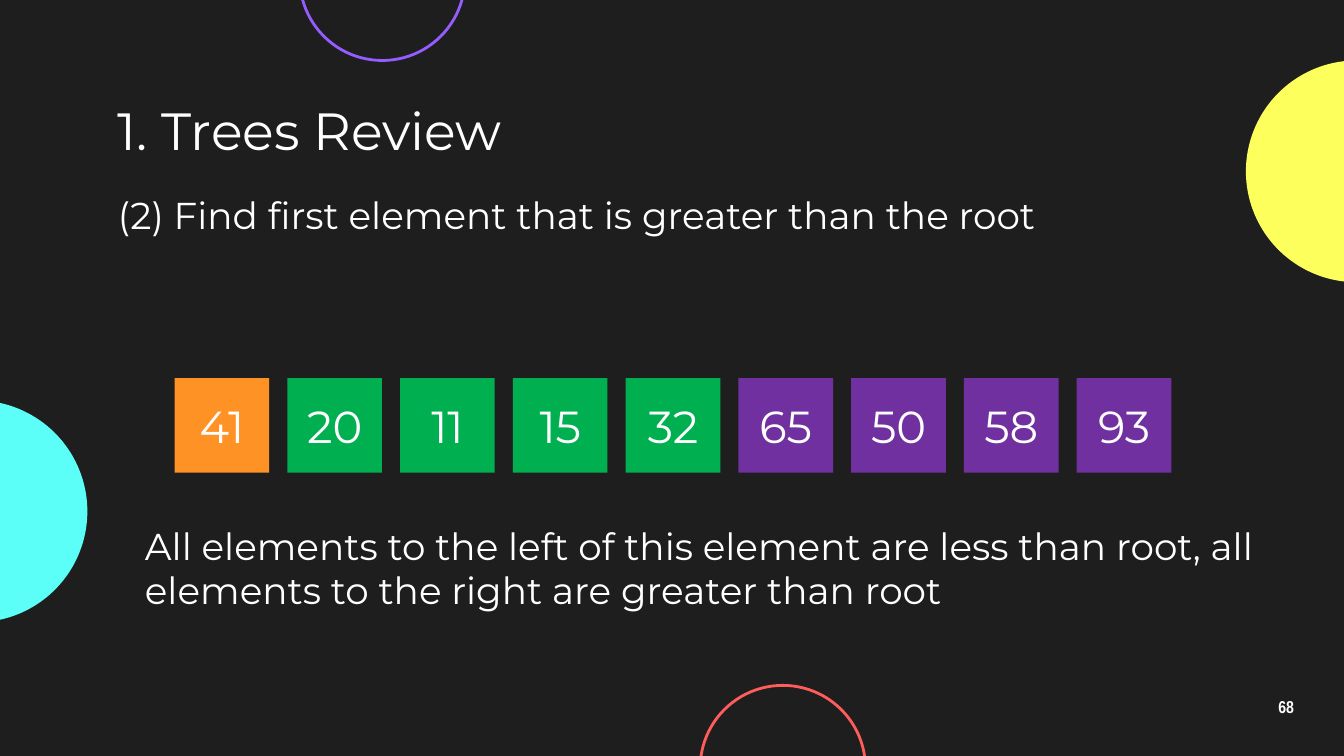
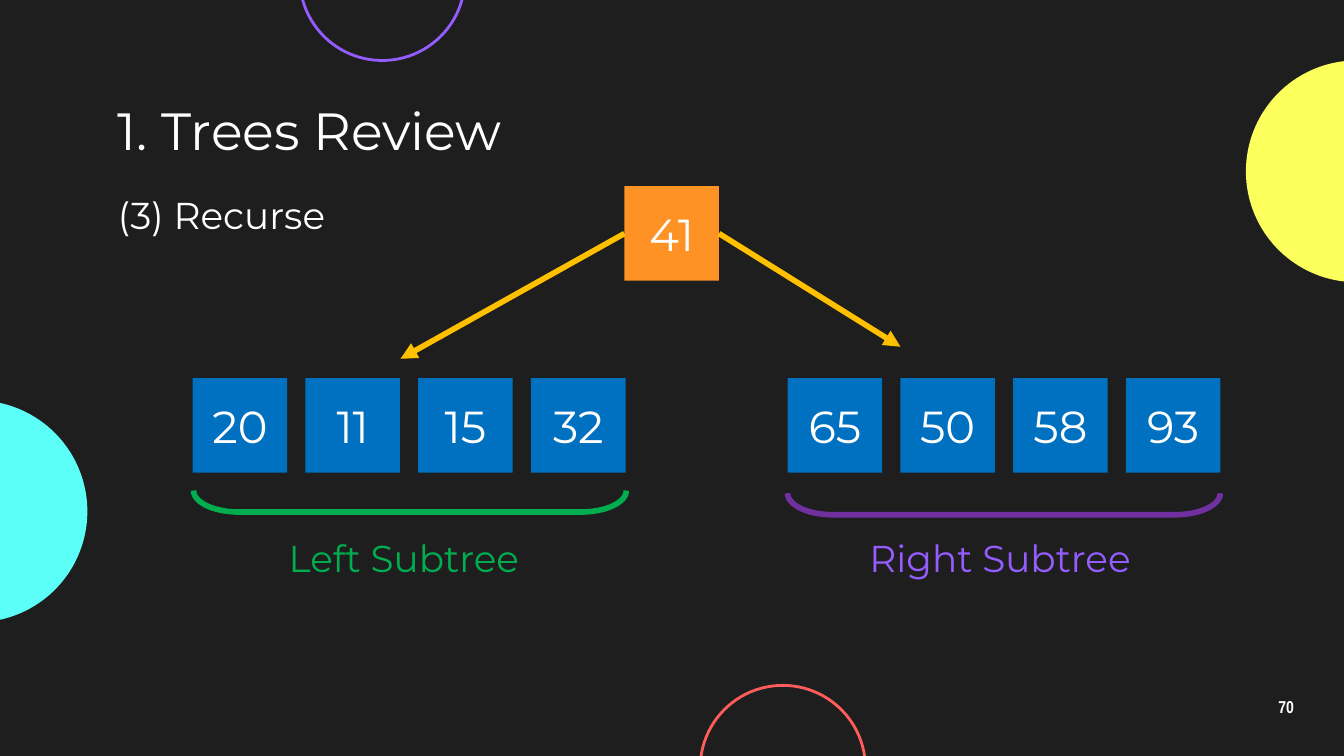
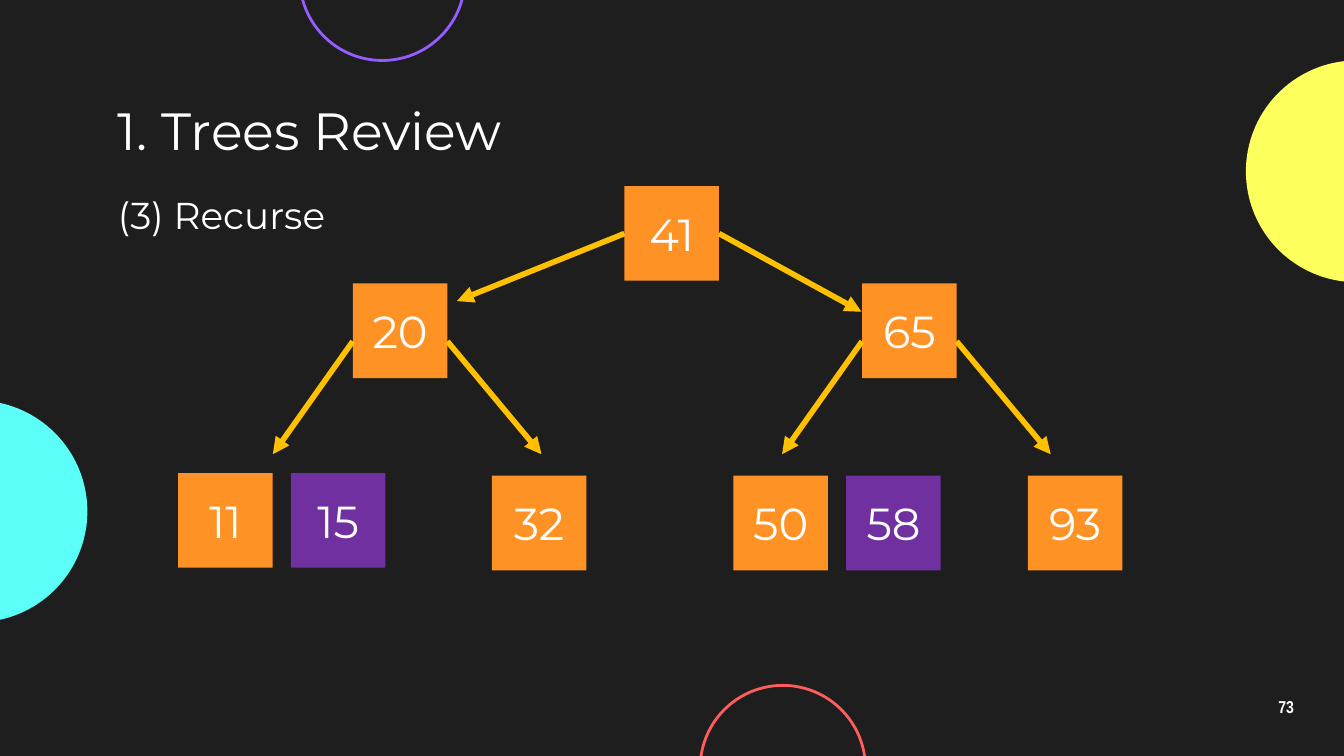
from pptx import Presentation
from pptx.dml.color import RGBColor
from pptx.enum.shapes import MSO_CONNECTOR as Connector, MSO_SHAPE as Preset
from pptx.enum.text import MSO_ANCHOR as Anchor, PP_ALIGN as Align
from pptx.oxml.ns import qn
from pptx.util import Inches, Pt
from lxml.etree import SubElement

CELL = Inches(0.1)
COLUMNS, ROWS = 100, 56.25
SIDE, PITCH = 7.04, 8.39
TEXT_ROWS = 5.1
SQUARE_LEFT_SIDE, SQUARE_RIGHT_SIDE = 1, 3

BACKGROUND = RGBColor(0x1E, 0x1E, 0x1E)
WHITE = RGBColor(0xFF, 0xFF, 0xFF)
CYAN = RGBColor(0x5C, 0xFF, 0xF8)
YELLOW = RGBColor(0xFD, 0xFF, 0x5C)
VIOLET = RGBColor(0x95, 0x5C, 0xFF)
CORAL = RGBColor(0xFF, 0x5C, 0x5C)
ORANGE = RGBColor(0xFF, 0x92, 0x25)
GREEN = RGBColor(0x00, 0xB0, 0x50)
LEAF = RGBColor(0x00, 0xAE, 0x4F)
PURPLE = RGBColor(0x70, 0x30, 0xA0)
BLUE = RGBColor(0x00, 0x70, 0xC0)
GOLD = RGBColor(0xFF, 0xC0, 0x00)

TITLE_FONT = {"name": "Montserrat", "size": Pt(28)}
BODY_FONT = {"name": "Montserrat", "size": Pt(20)}
SQUARE_FONT = {"name": "Montserrat", "size": Pt(24)}
NUMBER_FONT = {"name": "Arial Narrow", "size": Pt(9.2), "bold": True}


def grid(*counts):
    """Turn counts of grid columns or rows into lengths."""
    return [round(count * CELL) for count in counts]


def apply_format(target, values):
    """Set each attribute named in a dict of format values."""
    for name, value in values.items():
        setattr(target, name, value)


def write(shape, text, font, color=WHITE, **paragraph_format):
    """Put one formatted paragraph into a shape."""
    paragraph = shape.text_frame.paragraphs[0]
    paragraph.text = text
    apply_format(paragraph, paragraph_format)
    apply_format(paragraph.font, font)
    paragraph.font.color.rgb = color


def add_text(slide, at, text, font=BODY_FONT, color=WHITE, anchor=Anchor.TOP, **paragraph_format):
    """Add a wrapped text box with even margins."""
    box = slide.shapes.add_textbox(*grid(*at))
    margins = {f"margin_{side}": CELL for side in ("left", "top", "right", "bottom")}
    apply_format(box.text_frame, {"word_wrap": True, "vertical_anchor": anchor, **margins})
    write(box, text, font, color, **paragraph_format)


def add_preset(slide, preset, at, fill=None, line=None, weight=1.5):
    """Add a flat preset shape with an optional fill and outline."""
    shape = slide.shapes.add_shape(preset, *grid(*at))
    shape.shadow.inherit = False
    for part, color in ((shape.fill, fill), (shape.line.fill, line)):
        if color is None:
            part.background()
        else:
            part.solid()
            part.fore_color.rgb = color
    if line is not None:
        shape.line.width = Pt(weight)
    return shape


def add_square(slide, left, top, number, fill=ORANGE):
    """Add one array element or tree node."""
    square = add_preset(slide, Preset.RECTANGLE, (left, top, SIDE, SIDE), fill)
    square.text_frame.vertical_anchor = Anchor.MIDDLE
    write(square, str(number), SQUARE_FONT, alignment=Align.CENTER)
    return square


def add_squares(slide, left, top, numbers, fills):
    """Add a row of evenly spaced squares."""
    for index, (number, fill) in enumerate(zip(numbers, fills)):
        add_square(slide, left + index * PITCH, top, number, fill)


def add_arrow(slide, start, end):
    """Add a gold arrow between two grid points."""
    arrow = slide.shapes.add_connector(Connector.STRAIGHT, *grid(*start, *end))
    arrow.line.color.rgb = GOLD
    arrow.line.width = Pt(3)
    SubElement(arrow.line._get_or_add_ln(), qn("a:tailEnd"), type="triangle")
    SubElement(arrow.element.spPr, qn("a:effectLst"))
    return arrow


def add_root(slide, left_target, right_target):
    """Add the root node and its two joined arrows."""
    root = add_square(slide, 46.46, 13.86, 41)
    for side, x, target in ((SQUARE_LEFT_SIDE, 46.46, left_target),
                            (SQUARE_RIGHT_SIDE, 53.5, right_target)):
        add_arrow(slide, (x, 17.4), target).begin_connect(root, side)


def add_subtree(slide, left, numbers, bracket_at, bracket_color, label, label_at, label_color):
    """Add a row of elements with a bracket and a label below it."""
    add_squares(slide, left, 28.13, numbers, [BLUE] * len(numbers))
    bracket = add_preset(slide, Preset.LEFT_BRACKET, (*bracket_at, 1.6, 32.2),
                         line=bracket_color, weight=3)
    bracket.rotation = 270
    bracket.adjustments[0] = 2.11
    add_text(slide, label_at, label, color=label_color)


def add_branch(slide, left, number, leaf_top, leaf_left, pair, right_left, right_number):
    """Add a node with a pair of elements on its left and one on its right."""
    add_square(slide, left, 21.1, number)
    add_squares(slide, leaf_left, leaf_top, pair, (ORANGE, PURPLE))
    add_square(slide, right_left, 35.4, right_number)
    add_arrow(slide, (left, 25.4), (left - 5.95, 33.8))
    add_arrow(slide, (left + SIDE, 25.4), (left + SIDE + 7, 33.8))


def decorate_layout(slide):
    """Draw the shared circles and move them to the slide's layout."""
    layout = slide.slide_layout
    for placeholder in list(layout.placeholders):
        layout.shapes.element.remove(placeholder.element)
    circles = (
        (-10, 29.8, 16.5, {"fill": CYAN}),
        (92.7, 4.5, 16.5, {"fill": YELLOW}),
        (22.3, -7.8, 12.3, {"line": VIOLET}),
        (52.1, 51, 12.3, {"line": CORAL}),
    )
    for left, top, size, colors in circles:
        circle = add_preset(slide, Preset.OVAL, (left, top, size, size), **colors)
        layout.shapes.element.append(circle.element)


def add_frame(slide, page, step):
    """Add the page number, title and step heading."""
    add_text(slide, (92.7, 51, 6, 3.4), str(page), NUMBER_FONT, anchor=Anchor.MIDDLE,
             alignment=Align.CENTER, line_spacing=0.9)
    add_text(slide, (7.8, 7.1, 84.4, TEXT_ROWS), "1. Trees Review", TITLE_FONT,
             anchor=Anchor.MIDDLE)
    add_text(slide, (7.8, 13.3, 73.3 if page == 68 else 18.7, TEXT_ROWS), step)


def draw_split(slide):
    """Show the array split around its root."""
    add_frame(slide, 68, "(2) Find first element that is greater than the root")
    add_squares(slide, 13, 28.13, (41, 20, 11, 15, 32, 65, 50, 58, 93),
                [ORANGE] + [GREEN] * 4 + [PURPLE] * 4)
    add_text(slide, (9.8, 37.9, 84.8, TEXT_ROWS),
             "All elements to the left of this element are less than root, "
             "all elements to the right are greater than root")


def draw_subtrees(slide):
    """Show the root above its two unsorted subtrees."""
    add_frame(slide, 70, "(3) Recurse")
    add_root(slide, (29.8, 26.7), (67, 25.8))
    add_subtree(slide, 14.34, (20, 11, 15, 32), (29.7, 21.2), LEAF,
                "Left Subtree", (20.5, 38.8, 20, TEXT_ROWS), LEAF)
    add_subtree(slide, 58.6, (65, 50, 58, 93), (73.9, 21.4), PURPLE,
                "Right Subtree", (63.7, 38.8, 23.4, TEXT_ROWS), VIOLET)


def draw_tree(slide):
    """Show the tree after recursing into both subtrees."""
    add_frame(slide, 73, "(3) Recurse")
    add_root(slide, (34, 22.4), (64.1, 23.2))
    add_branch(slide, 26.25, 20, 35.2, 13.25, (11, 15), 36.6, 32)
    add_branch(slide, 64.14, 65, 35.4, 54.57, (50, 58), 76.48, 93)


def main():
    """Build and save the presentation."""
    presentation = Presentation()
    presentation.slide_width, presentation.slide_height = grid(COLUMNS, ROWS)
    background = presentation.slide_master.background.fill
    background.solid()
    background.fore_color.rgb = BACKGROUND
    blank = presentation.slide_layouts[6]
    for draw in (draw_split, draw_subtrees, draw_tree):
        slide = presentation.slides.add_slide(blank)
        if draw is draw_split:
            decorate_layout(slide)
        draw(slide)
    presentation.save("out.pptx")


if __name__ == "__main__":
    main()
